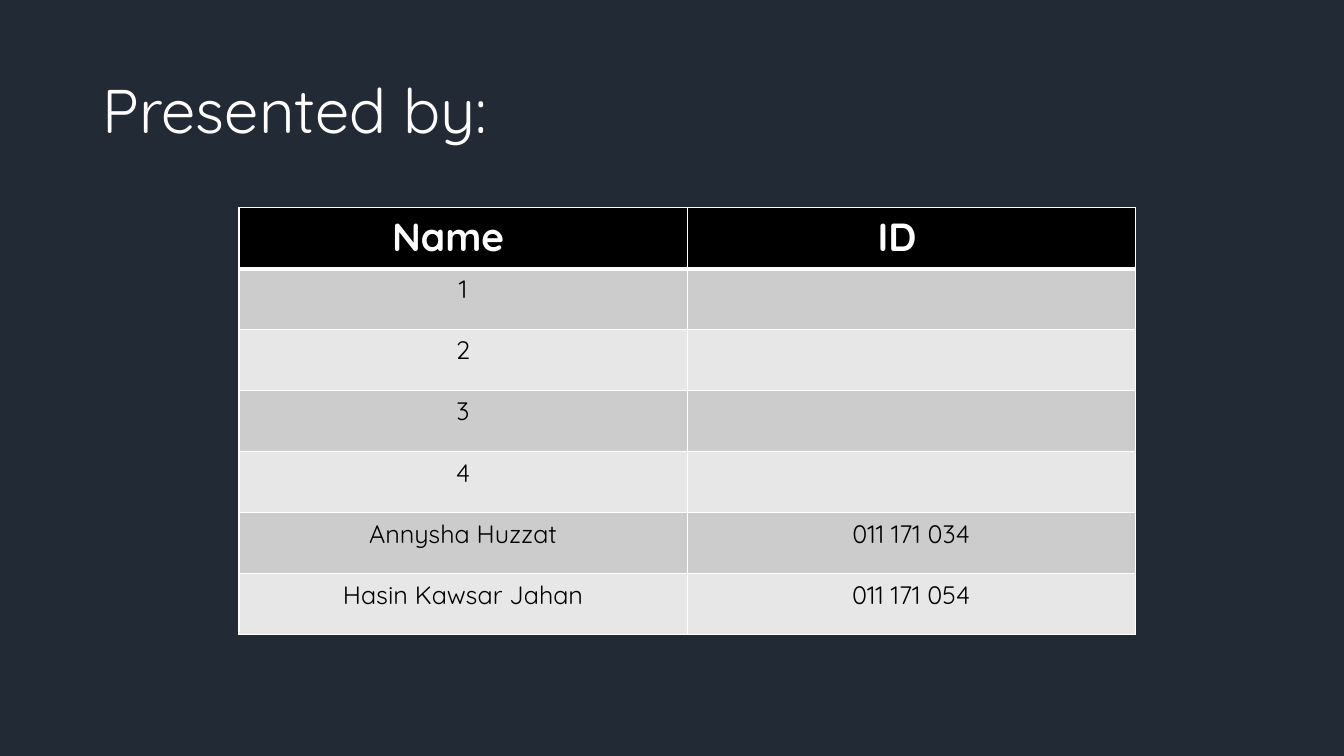
from dataclasses import dataclass

from lxml.etree import SubElement
from pptx import Presentation
from pptx.dml.color import RGBColor
from pptx.enum.text import MSO_ANCHOR, PP_ALIGN
from pptx.oxml.ns import qn
from pptx.util import Inches, Pt


@dataclass(frozen=True)
class Theme:
    font: str = "Quicksand"
    background: str = "222A35"
    light: str = "FFFFFF"
    dark: str = "000000"
    bands: tuple = ("CCCCCC", "E7E7E7")
    title_size: int = 44
    header_size: int = 28
    body_size: int = 18
    border: int = 1
    header_border: int = 3


THEME = Theme()
HEADERS = ("Name", "ID")
HEADER_INDENTS = (1.52, 1.89)
PRESENTERS = (
    ("1", ""),
    ("2", ""),
    ("3", ""),
    ("4", ""),
    ("Annysha Huzzat", "011 171 034"),
    ("Hasin Kawsar Jahan", "011 171 054"),
)


def style_font(font, size, color, bold=False):
    font.name = THEME.font
    font.size = Pt(size)
    font.bold = bold
    font.color.rgb = RGBColor.from_string(color)


def set_borders(cell, top, bottom):
    """Draw the four cell edges; call before filling, as the schema puts lines first."""
    properties = cell._tc.get_or_add_tcPr()
    widths = {"lnL": THEME.border, "lnR": THEME.border, "lnT": top, "lnB": bottom}
    for edge, width in widths.items():
        line = SubElement(properties, qn(f"a:{edge}"), w=str(Pt(width)))
        fill = SubElement(line, qn("a:solidFill"))
        SubElement(fill, qn("a:srgbClr"), val=THEME.light)


def fill_cell(cell, text, fill, size, color, bold=False):
    cell.text_frame.text = text
    paragraph = cell.text_frame.paragraphs[0]
    style_font(paragraph.font, size, color, bold)
    for run in paragraph.runs:
        style_font(run.font, size, color, bold)
    cell.fill.solid()
    cell.fill.fore_color.rgb = RGBColor.from_string(fill)
    return paragraph


def add_title(slide, text, left, top, width, height):
    box = slide.shapes.add_textbox(Inches(left), Inches(top), Inches(width), Inches(height))
    frame = box.text_frame
    frame.word_wrap = True
    frame.vertical_anchor = MSO_ANCHOR.MIDDLE
    frame.text = text
    paragraph = frame.paragraphs[0]
    paragraph.line_spacing = 0.9
    style_font(paragraph.runs[0].font, THEME.title_size, THEME.light)


def add_presenter_table(slide, left, top, width, height):
    table = slide.shapes.add_table(
        len(PRESENTERS) + 1, len(HEADERS),
        Inches(left), Inches(top), Inches(width), Inches(height),
    ).table
    for column, (header, indent) in enumerate(zip(HEADERS, HEADER_INDENTS)):
        cell = table.cell(0, column)
        set_borders(cell, THEME.border, THEME.header_border)
        fill_cell(cell, header, THEME.dark, THEME.header_size, THEME.light, bold=True)
        cell.margin_left = Inches(indent)
    for row, presenter in enumerate(PRESENTERS, start=1):
        top_border = THEME.header_border if row == 1 else THEME.border
        band = THEME.bands[(row - 1) % len(THEME.bands)]
        for column, text in enumerate(presenter):
            cell = table.cell(row, column)
            set_borders(cell, top_border, THEME.border)
            paragraph = fill_cell(cell, text, band, THEME.body_size, THEME.dark)
            paragraph.alignment = PP_ALIGN.CENTER


def main():
    presentation = Presentation()
    presentation.slide_width = Inches(13.33)
    presentation.slide_height = Inches(7.5)
    slide = presentation.slides.add_slide(presentation.slide_layouts[6])
    background = slide.background.fill
    background.solid()
    background.fore_color.rgb = RGBColor.from_string(THEME.background)
    add_title(slide, "Presented by:", 0.92, 0.4, 4.97, 1.45)
    add_presenter_table(slide, 2.37, 2.06, 8.89, 4.24)
    presentation.save("out.pptx")


if __name__ == "__main__":
    main()
